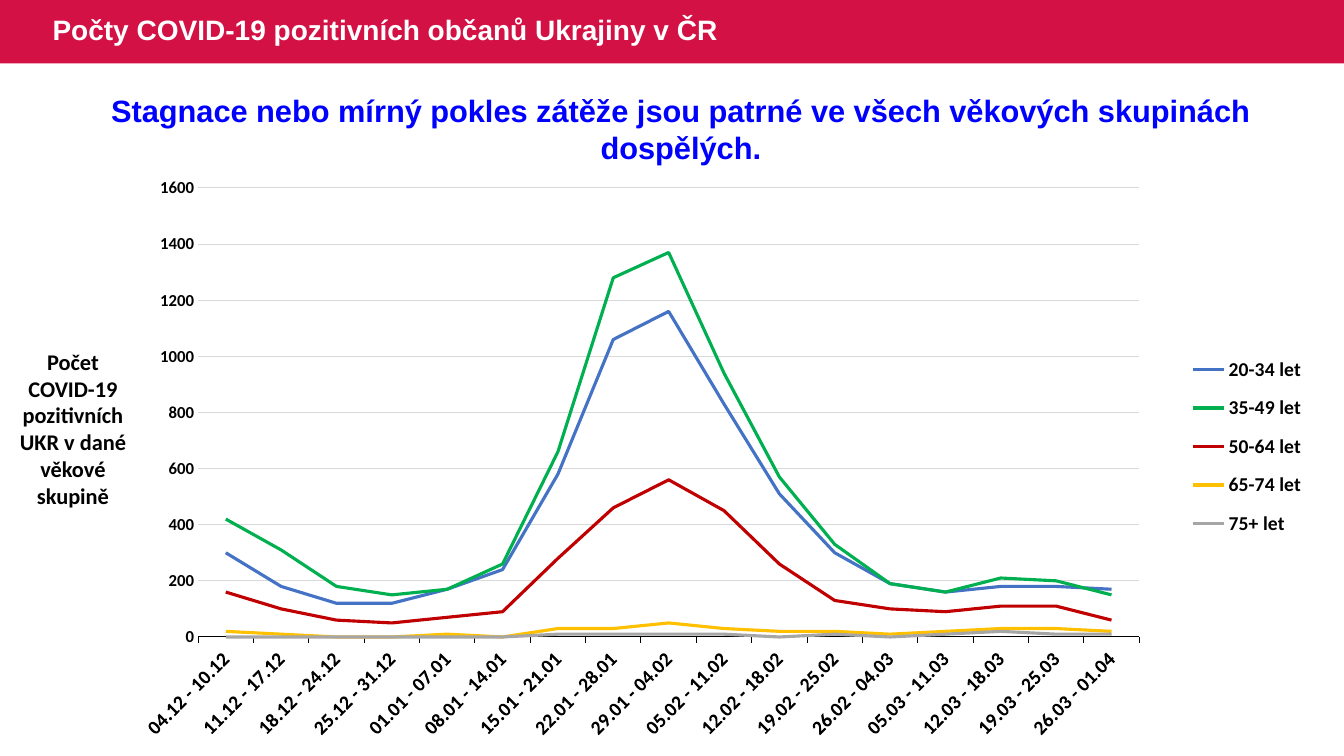
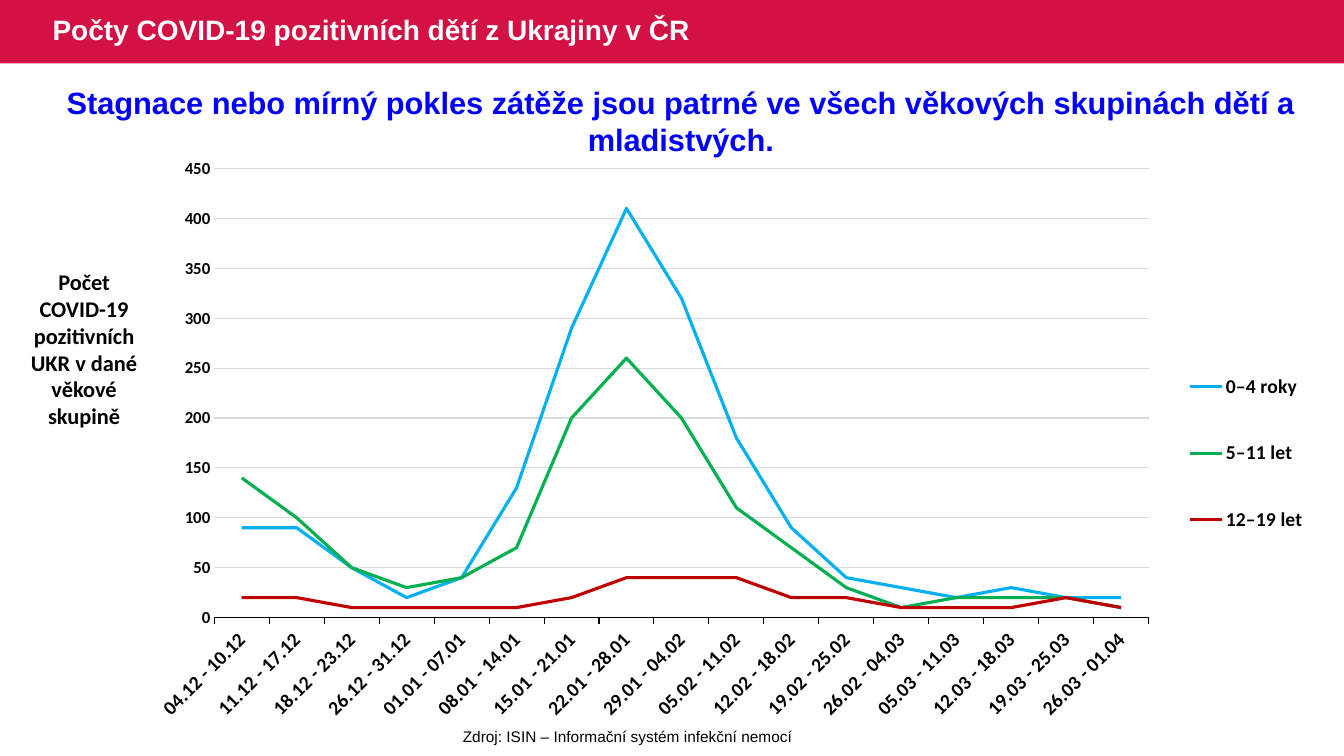
from lxml import etree
from pptx import Presentation
from pptx.chart.data import CategoryChartData
from pptx.dml.color import RGBColor
from pptx.enum.chart import XL_CHART_TYPE, XL_LEGEND_POSITION, XL_TICK_MARK
from pptx.enum.shapes import MSO_SHAPE
from pptx.enum.text import MSO_ANCHOR, MSO_AUTO_SIZE, PP_ALIGN
from pptx.oxml.ns import qn
from pptx.util import Cm, Pt

LINE = XL_CHART_TYPE.LINE
RIGHT = XL_LEGEND_POSITION.RIGHT
NONE, OUT = XL_TICK_MARK.NONE, XL_TICK_MARK.OUTSIDE
RECT = MSO_SHAPE.RECTANGLE
MIDDLE = MSO_ANCHOR.MIDDLE
FIXED, GROW = MSO_AUTO_SIZE.NONE, MSO_AUTO_SIZE.SHAPE_TO_FIT_TEXT
LEFT, CENTER = PP_ALIGN.LEFT, PP_ALIGN.CENTER

CRIMSON = RGBColor(0xD3, 0x11, 0x45)
WHITE = RGBColor(0xFF, 0xFF, 0xFF)
BLACK = RGBColor(0x00, 0x00, 0x00)
BLUE = RGBColor(0x00, 0x00, 0xFF)
SILVER = RGBColor(0xD9, 0xD9, 0xD9)
STEEL = RGBColor(0x44, 0x72, 0xC4)
SKY = RGBColor(0x00, 0xB0, 0xF0)
GREEN = RGBColor(0x00, 0xB0, 0x50)
RED = RGBColor(0xC0, 0x00, 0x00)
AMBER = RGBColor(0xFF, 0xC0, 0x00)
GREY = RGBColor(0xA6, 0xA6, 0xA6)

WIDTH, HEIGHT = Cm(33.87), Cm(19.05)
BAND = Cm(1.6)
SIDE = Cm(3.48)
LABEL = "Počet COVID-19 pozitivních UKR v dané věkové skupině"
SOURCE = "Zdroj: ISIN – Informační systém infekční nemocí"

FIRST = ["04.12 - 10.12", "11.12 - 17.12"]
REST = [
    "01.01 - 07.01", "08.01 - 14.01", "15.01 - 21.01", "22.01 - 28.01",
    "29.01 - 04.02", "05.02 - 11.02", "12.02 - 18.02", "19.02 - 25.02",
    "26.02 - 04.03", "05.03 - 11.03", "12.03 - 18.03", "19.03 - 25.03",
    "26.03 - 01.04",
]

PAGES = [
    {
        "title": "Počty COVID-19 pozitivních občanů Ukrajiny v ČR",
        "claim": "Stagnace nebo mírný pokles zátěže jsou patrné ve všech "
                 "věkových skupinách dospělých.",
        "claim_top": Cm(2.18),
        "label_top": Cm(8.64),
        "chart_at": (Cm(3.58), Cm(4.32)),
        "plot": (0.045, 0.028, 0.803, 0.759),
        "legend": (0.88, 0.29, 0.12, 0.35),
        "scale": (1600, 200),
        "weeks": FIRST + ["18.12 - 24.12", "25.12 - 31.12"] + REST,
        "series": [
            ("20-34 let", STEEL, [300, 180, 120, 120, 170, 240, 580, 1060, 1160,
                                  830, 510, 300, 190, 160, 180, 180, 170]),
            ("35-49 let", GREEN, [420, 310, 180, 150, 170, 260, 660, 1280, 1370,
                                  940, 570, 330, 190, 160, 210, 200, 150]),
            ("50-64 let", RED, [160, 100, 60, 50, 70, 90, 280, 460, 560,
                                450, 260, 130, 100, 90, 110, 110, 60]),
            ("65-74 let", AMBER, [20, 10, 0, 0, 10, 0, 30, 30, 50,
                                  30, 20, 20, 10, 20, 30, 30, 20]),
            ("75+ let", GREY, [0, 0, 0, 0, 0, 0, 10, 10, 10,
                               10, 0, 10, 0, 10, 20, 10, 10]),
        ],
        "source": None,
    },
    {
        "title": "Počty COVID-19 pozitivních dětí z Ukrajiny v ČR",
        "claim": "Stagnace nebo mírný pokles zátěže jsou patrné ve všech "
                 "věkových skupinách dětí a mladistvých.",
        "claim_top": Cm(1.98),
        "label_top": Cm(6.63),
        "chart_at": (Cm(3.86), Cm(3.89)),
        "plot": (0.052, 0.024, 0.795, 0.759),
        "legend": (0.87, 0.3, 0.12, 0.41),
        "scale": (450, 50),
        "weeks": FIRST + ["18.12 - 23.12", "26.12 - 31.12"] + REST,
        "series": [
            ("0–4 roky", SKY, [90, 90, 50, 20, 40, 130, 290, 410, 320,
                               180, 90, 40, 30, 20, 30, 20, 20]),
            ("5–11 let", GREEN, [140, 100, 50, 30, 40, 70, 200, 260, 200,
                                 110, 70, 30, 10, 20, 20, 20, 10]),
            ("12–19 let", RED, [20, 20, 10, 10, 10, 10, 20, 40, 40,
                                40, 20, 20, 10, 10, 10, 20, 10]),
        ],
        "source": SOURCE,
    },
]


def write(shape, text, size, color=BLACK, face="Arial", bold=True,
          align=CENTER, fit=GROW):
    frame = shape.text_frame
    frame.word_wrap = True
    frame.auto_size = fit
    frame.text = text
    para = frame.paragraphs[0]
    para.alignment = align
    font = para.runs[0].font
    font.size, font.name, font.bold = Pt(size), face, bold
    font.color.rgb = color
    return para


def place(parent, index, box, inner=False):
    for old in parent.findall(qn("c:layout")):
        parent.remove(old)
    layout = etree.Element(qn("c:layout"))
    manual = etree.SubElement(layout, qn("c:manualLayout"))
    parts = [("layoutTarget", "inner")] if inner else []
    parts += [("xMode", "edge"), ("yMode", "edge")]
    parts += zip("xywh", box)
    for tag, val in parts:
        etree.SubElement(manual, qn("c:" + tag)).set("val", str(val))
    parent.insert(index, layout)


deck = Presentation()
deck.slide_width, deck.slide_height = WIDTH, HEIGHT
base = deck.slide_layouts[5]
head = base.placeholders[0]
head.left, head.top, head.width, head.height = Cm(1.07), 0, Cm(21.26), BAND
slides = [deck.slides.add_slide(base) for page in PAGES]

band = slides[0].shapes.add_shape(RECT, 0, 0, WIDTH, BAND)
band.shadow.inherit = False
band.fill.solid()
band.fill.fore_color.rgb = CRIMSON
band.line.fill.background()
band._element.nvSpPr.cNvPr.set("id", "20")
base.shapes._spTree.insert(2, band._element)

for slide, page in zip(slides, PAGES):
    shapes = slide.shapes
    title = shapes.title
    para = write(title, page["title"], 20, color=WHITE, align=LEFT, fit=FIXED)
    para.line_spacing = 0.9
    title.text_frame.vertical_anchor = MIDDLE

    if page["source"]:
        note = shapes.add_textbox(Cm(5.99), Cm(18.19), Cm(19.66), Cm(0.74))
        write(note, page["source"], 11, bold=False)

    data = CategoryChartData()
    data.categories = page["weeks"]
    for name, color, vals in page["series"]:
        data.add_series(name, vals)
    left, top = page["chart_at"]
    chart = shapes.add_chart(LINE, left, top, Cm(29.62), Cm(14.91), data).chart
    chart.has_title = False
    chart.has_legend = True
    legend = chart.legend
    legend.position = RIGHT
    legend.include_in_layout = False
    dates, count = chart.category_axis, chart.value_axis
    texts = [(chart, 14), (legend, 14), (dates.tick_labels, 14),
             (count.tick_labels, 12)]
    for item, size in texts:
        font = item.font
        font.size, font.name, font.bold = Pt(size), "Calibri", True
        font.color.rgb = BLACK

    dates.major_tick_mark, dates.minor_tick_mark = OUT, NONE
    dates.format.line.color.rgb = BLACK
    dates.format.line.width = Pt(0.75)
    dates._element.xpath("c:txPr/a:bodyPr")[0].set("rot", "-2700000")
    count.major_tick_mark = count.minor_tick_mark = NONE
    count.minimum_scale = 0
    count.maximum_scale, count.major_unit = page["scale"]
    count.format.line.fill.background()
    grid = count.major_gridlines.format.line
    grid.color.rgb = SILVER
    grid.width = Pt(0.75)

    plot = chart.plots[0]
    plot.vary_by_categories = False
    for series, (name, color, vals) in zip(plot.series, page["series"]):
        series.smooth = False
        series.format.line.color.rgb = color
        series.format.line.width = Pt(2.25)
    place(chart._chartSpace.chart.plotArea, 0, page["plot"], inner=True)
    place(legend._element, 1, page["legend"])

    label = shapes.add_textbox(left - SIDE, page["label_top"], SIDE, Cm(4.37))
    write(label, LABEL, 16, face="Calibri")
    claim = shapes.add_textbox(Cm(1.4), page["claim_top"], Cm(31.52), Cm(2.13))
    write(claim, page["claim"], 22, color=BLUE)

deck.save("out.pptx")
